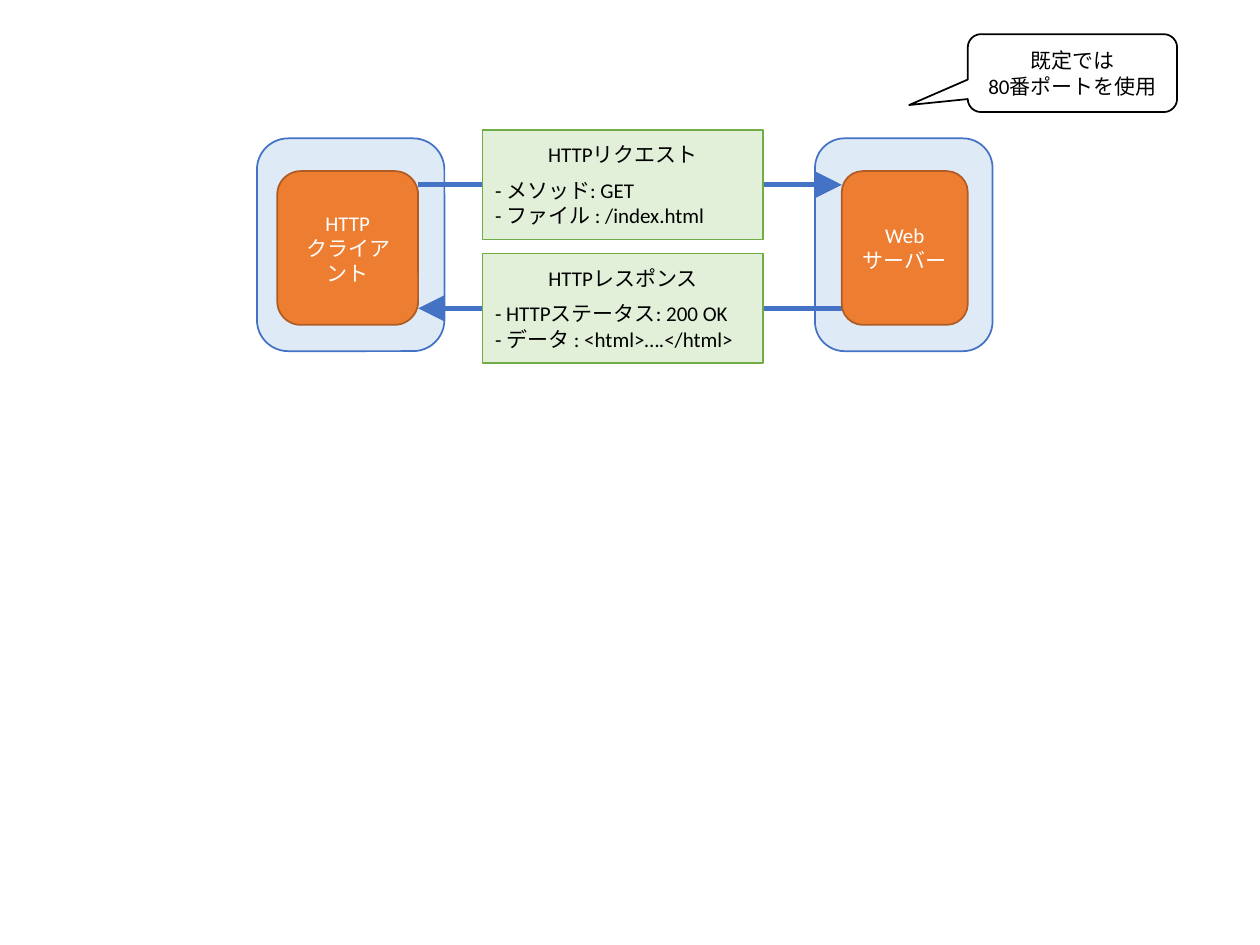
"""Build the slide showing an HTTP request and response between client and server."""
from dataclasses import dataclass

from lxml.etree import SubElement
from pptx import Presentation
from pptx.dml.color import RGBColor
from pptx.enum.shapes import MSO_CONNECTOR as Connector, MSO_SHAPE as Shape
from pptx.enum.text import MSO_ANCHOR as Anchor, PP_ALIGN as Align
from pptx.oxml.ns import qn
from pptx.util import Cm, Pt


@dataclass(frozen=True)
class Theme:
    font: str = "Calibri"
    text_size: int = 12
    outline: int = 1
    arrow: int = 3
    blue: str = "4472C4"
    pale_blue: str = "DEEBF7"
    green: str = "70AD47"
    pale_green: str = "E2F0D9"
    orange: str = "ED7D31"
    brown: str = "AF5C24"
    black: str = "000000"
    white: str = "FFFFFF"


theme = Theme()


def add_box(slide, kind, place, fill, line):
    shape = slide.shapes.add_shape(kind, *map(Cm, place))
    shape.shadow.inherit = False
    shape.fill.solid()
    shape.fill.fore_color.rgb = RGBColor.from_string(fill)
    shape.line.color.rgb = RGBColor.from_string(line)
    shape.line.width = Pt(theme.outline)
    return shape


def write_text(shape, lines, color):
    frame = shape.text_frame
    for name, value in {"word_wrap": True, "vertical_anchor": Anchor.MIDDLE}.items():
        setattr(frame, name, value)
    font_format = {"name": theme.font, "size": Pt(theme.text_size)}
    for index, (text, paragraph_format) in enumerate(lines):
        paragraph = frame.add_paragraph() if index else frame.paragraphs[0]
        paragraph.text = text
        for name, value in paragraph_format.items():
            setattr(paragraph, name, value)
        for run in paragraph.runs:
            for name, value in font_format.items():
                setattr(run.font, name, value)
            run.font.color.rgb = RGBColor.from_string(color)
        for line_break in paragraph._p.findall(qn("a:br")):
            SubElement(line_break, qn("a:rPr"), sz=str(theme.text_size * 100))


presentation = Presentation()
presentation.slide_width, presentation.slide_height = Cm(25.4), Cm(19.05)
slide = presentation.slides.add_slide(presentation.slide_layouts[6])

centered = {"alignment": Align.CENTER}
first_item = {"alignment": Align.LEFT, "space_before": Pt(6)}
next_item = {"alignment": Align.LEFT}

for left, width in ((16.43, 3.58), (5.18, 3.78)):
    add_box(slide, Shape.ROUNDED_RECTANGLE, (left, 2.79, width, 4.29),
            theme.pale_blue, theme.blue)

client_edge, server_edge = 8.43, 16.97
message_height = 2.21
messages = (
    (2.62, client_edge, server_edge,
     ("HTTPリクエスト", "- メソッド: GET", "- ファイル : /index.html")),
    (5.11, server_edge, client_edge,
     ("HTTPレスポンス", "- HTTPステータス: 200 OK", "- データ : <html>….</html>")),
)
for top, start, end, texts in messages:
    middle = top + message_height / 2
    arrow = slide.shapes.add_connector(
        Connector.STRAIGHT, Cm(start), Cm(middle), Cm(end), Cm(middle))
    arrow.line.color.rgb = RGBColor.from_string(theme.blue)
    arrow.line.width = Pt(theme.arrow)
    SubElement(arrow.line._get_or_add_ln(), qn("a:tailEnd"),
               type="triangle", w="lg", len="lg")
    SubElement(arrow._element.spPr, qn("a:effectLst"))
    message = add_box(slide, Shape.RECTANGLE, (9.73, top, 5.66, message_height),
                      theme.pale_green, theme.green)
    write_text(message, zip(texts, (centered, first_item, next_item)), theme.black)

for left, width, label in ((server_edge, 2.54, "Web\vサーバー"),
                           (5.59, 2.84, "HTTP\vクライアント")):
    node = add_box(slide, Shape.ROUNDED_RECTANGLE, (left, 3.45, width, 3.1),
                   theme.orange, theme.brown)
    write_text(node, [(label, centered)], theme.white)

callout = add_box(slide, Shape.ROUNDED_RECTANGULAR_CALLOUT, (19.51, 0.69, 4.22, 1.57),
                  theme.white, theme.black)
for index, value in enumerate((-0.78, 0.41, 0.17)):
    callout.adjustments[index] = value
write_text(callout, [("既定では", centered), ("80番ポートを使用", centered)], theme.black)

presentation.save("out.pptx")
